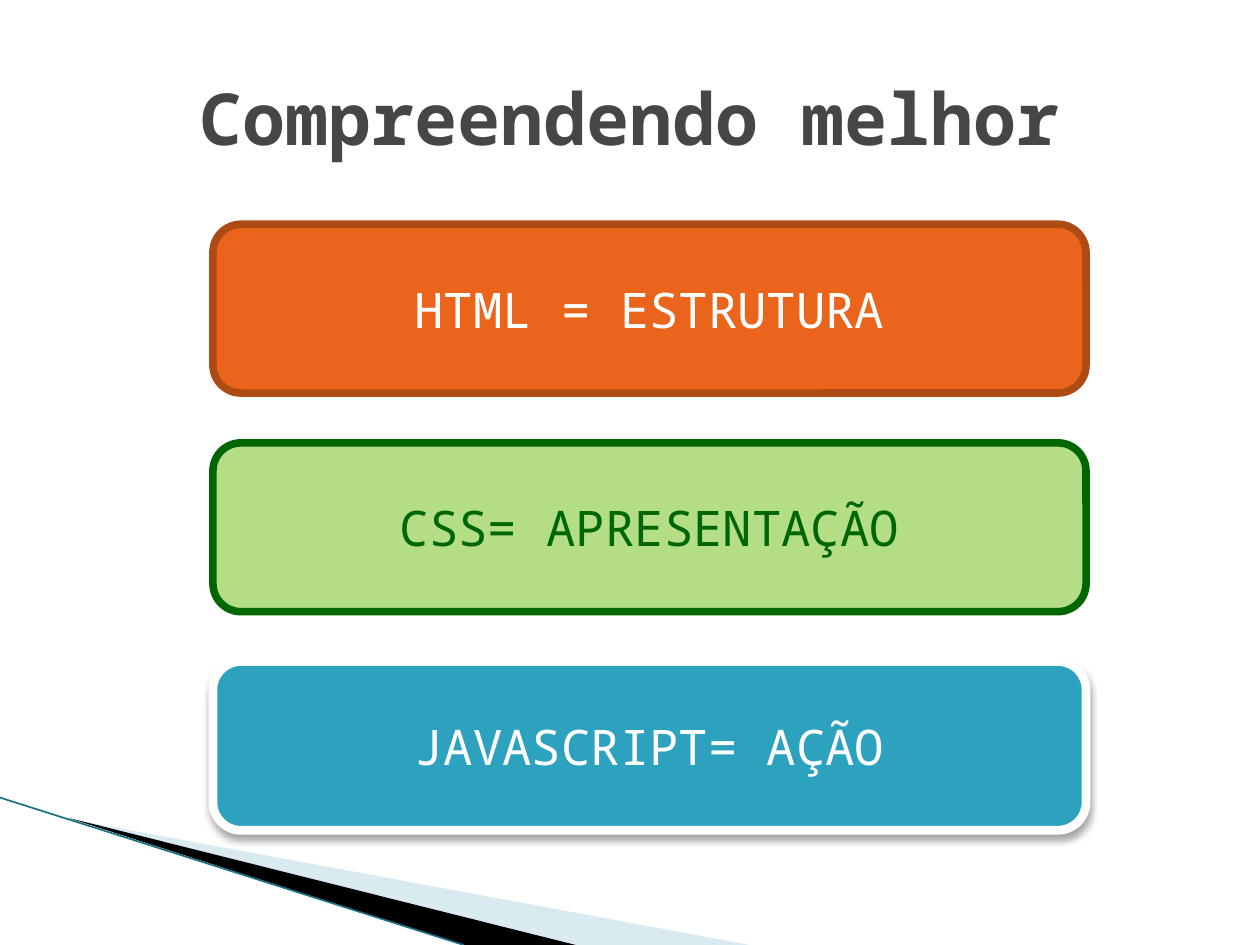
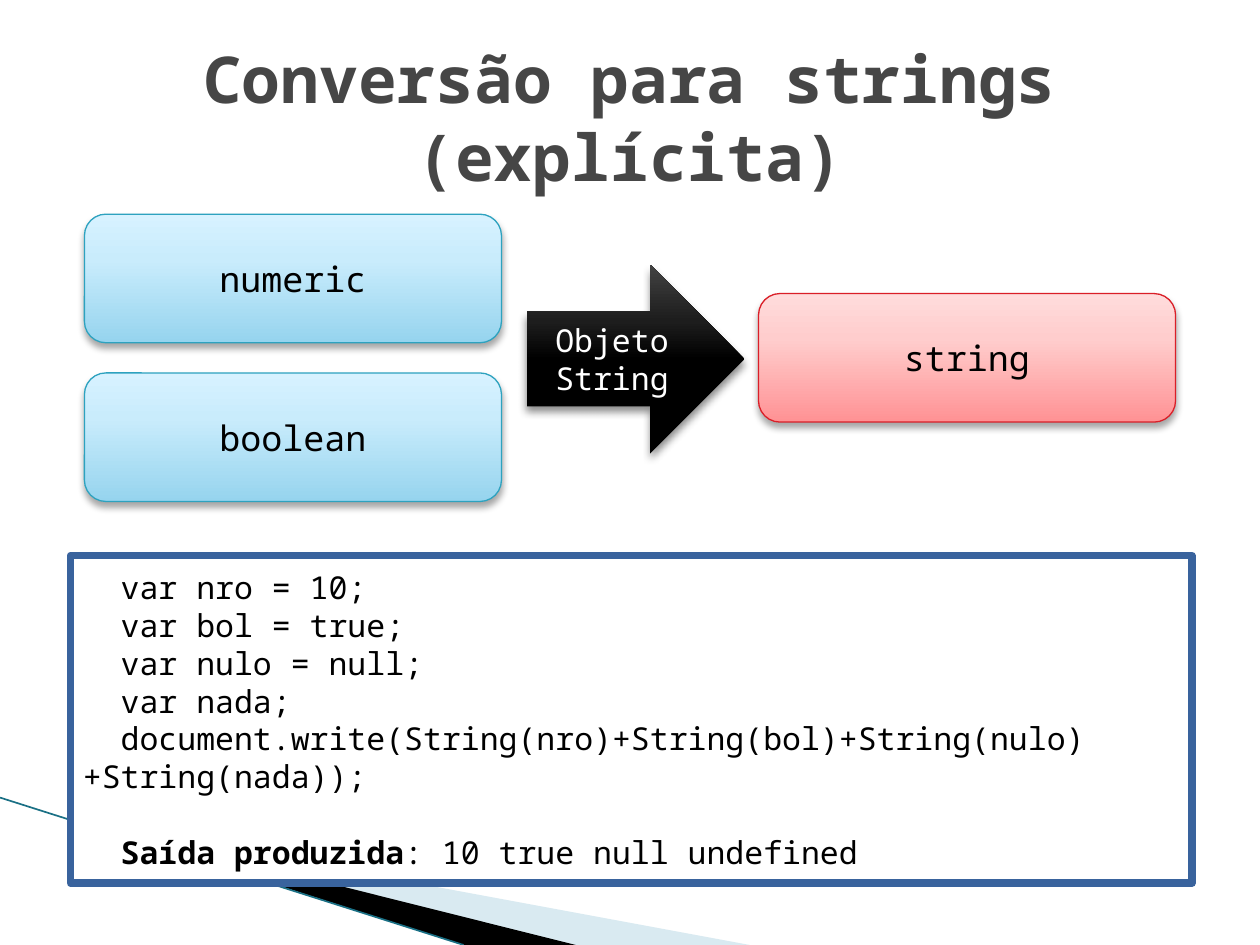
from dataclasses import dataclass
from lxml import etree
from pptx import Presentation
from pptx.dml.color import RGBColor
from pptx.enum.shapes import MSO_CONNECTOR, MSO_SHAPE
from pptx.enum.text import MSO_ANCHOR, PP_ALIGN
from pptx.oxml.ns import qn
from pptx.util import Inches, Pt

ROUND, ARROW, RECT = MSO_SHAPE.ROUNDED_RECTANGLE, MSO_SHAPE.RIGHT_ARROW, MSO_SHAPE.RECTANGLE
STRAIGHT = MSO_CONNECTOR.STRAIGHT
MIDDLE = MSO_ANCHOR.MIDDLE
CENTER, LEFT = PP_ALIGN.CENTER, PP_ALIGN.LEFT


@dataclass(frozen=True)
class Theme:
    font: str = "Noto Sans Mono"
    title: str = "464646"
    white: str = "FFFFFF"
    black: str = "000000"
    orange: str = "EB641B"
    rust: str = "AE4A14"
    lime: str = "B4DE86"
    green: str = "006600"
    teal: str = "2DA2BF"
    red: str = "DA1F28"
    navy: str = "39639D"
    pale: str = "A0CBDC"
    edge: str = "1A7085"
    blue_grad: tuple = ((0, "96D4EE"), (65, "C9ECFC"), (100, "D7F2FF"))
    red_grad: tuple = ((0, "FF9294"), (65, "FFCDCD"), (100, "FFDCDC"))
    black_grad: tuple = ((0, "000000"), (50, "000000"), (70, "1D1D1D"), (100, "424242"))
    banner_size: float = 28
    box_size: float = 20
    code_size: float = 18
    soft: tuple = (35, 4)
    strong: tuple = (45, 5)


T = Theme()


def rgb(c):
    return RGBColor.from_string(c)


def color_xml(parent, c, alpha=None):
    clr = etree.SubElement(parent, qn("a:srgbClr"), val=c)
    if alpha is not None:
        etree.SubElement(clr, qn("a:alpha"), val=str(alpha * 1000))


class Deck:
    def __init__(self):
        self.prs = Presentation()
        self.prs.slide_width, self.prs.slide_height = Inches(10), Inches(7.5)

    def new_slide(self, title, size):
        self.s = self.prs.slides.add_slide(self.prs.slide_layouts[6])
        self.wedge([(0.55, 6.5), (5.95, 7.5), (4.56, 7.5)], T.pale, 40)
        self.wedge([(0.54, 6.49), (4.57, 7.5), (3.68, 7.5)], T.black)
        self.line((0, 6.33), (3.68, 7.5), T.edge, 0.95)
        box = self.s.shapes.add_textbox(*map(Inches, (0.5, 0.3, 9, 1.25)))
        self.text(box, [title], size, T.title, bold=True)

    def wedge(self, points, color, alpha=None):
        start, *rest = [(Inches(x), Inches(y)) for x, y in points]
        fb = self.s.shapes.build_freeform(*start)
        fb.add_line_segments(rest)
        sp = fb.convert_to_shape()
        sp.shadow.inherit = False
        sp.line.fill.background()
        sp.fill.solid()
        sp.fill.fore_color.rgb = rgb(color)
        if alpha is not None:
            solid = sp._element.spPr.find(qn("a:solidFill"))
            solid.clear()
            color_xml(solid, color, alpha)

    def line(self, start, end, color, width):
        cn = self.s.shapes.add_connector(STRAIGHT, *map(Inches, start + end))
        cn.line.color.rgb = rgb(color)
        cn.line.width = Pt(width)
        etree.SubElement(cn._element.spPr, qn("a:effectLst"))

    def text(self, sp, lines, size, color, align=CENTER, bold=False):
        tf = sp.text_frame
        tf.word_wrap = True
        tf.vertical_anchor = MIDDLE
        for i, line in enumerate(lines):
            p = tf.add_paragraph() if i else tf.paragraphs[0]
            p.alignment = align
            p.font.name, p.font.size, p.font.bold = T.font, Pt(size), bold
            p.font.color.rgb = rgb(color)
            p.add_run().text = line
        return tf

    def shape(self, kind, box, fill, border=None, width=0.75, shadow=None):
        sp = self.s.shapes.add_shape(kind, *map(Inches, box))
        sp.shadow.inherit = False
        if isinstance(fill, tuple):
            self.gradient(sp, fill)
        else:
            sp.fill.solid()
            sp.fill.fore_color.rgb = rgb(fill)
        if border:
            sp.line.color.rgb = rgb(border)
            sp.line.width = Pt(width)
        else:
            sp.line.fill.background()
        if shadow:
            alpha, blur = shadow
            effects = sp._element.spPr.find(qn("a:effectLst"))
            outer = etree.SubElement(effects, qn("a:outerShdw"), blurRad=str(Pt(blur)),
                                     dist=str(Pt(3)), dir="5400000", rotWithShape="0")
            color_xml(outer, T.black, alpha)
        return sp

    def gradient(self, sp, stops):
        sp.fill.gradient()
        grad = sp._element.spPr.find(qn("a:gradFill"))
        for child in list(grad):
            grad.remove(child)
        gs_list = etree.SubElement(grad, qn("a:gsLst"))
        for pos, color in stops:
            color_xml(etree.SubElement(gs_list, qn("a:gs"), pos=str(pos * 1000)), color)
        etree.SubElement(grad, qn("a:lin"), ang="16200000", scaled="0")

    def code(self, box, lines, label, result):
        sp = self.shape(RECT, box, T.white, T.navy, 4.33)
        tf = self.text(sp, lines + [label], T.code_size, T.black, LEFT)
        for p in tf.paragraphs:
            pPr = p._p.get_or_add_pPr()
            pPr.set("marL", "0")
            pPr.set("indent", str(Inches(0.3)))
        p = tf.paragraphs[-1]
        p.space_before = Pt(21.6)
        p.runs[0].font.bold = True
        p.add_run().text = result


deck = Deck()

deck.new_slide("Compreendendo melhor", 41)
banners = [
    ("HTML = ESTRUTURA", T.orange, T.rust, 4.33, T.white, None),
    ("CSS= APRESENTAÇÃO", T.lime, T.green, 4.33, T.green, None),
    ("JAVASCRIPT= AÇÃO", T.teal, T.white, 5, T.white, T.soft),
]
for i, (label, fill, border, width, color, shadow) in enumerate(banners):
    sp = deck.shape(ROUND, (1.69, 1.78 + 1.735 * i, 6.93, 1.34), fill, border, width, shadow)
    deck.text(sp, [label], T.banner_size, color)

deck.new_slide("Conversão para strings (explícita)", 36.9)
types = [
    ("numeric", 0.67, 1.7, T.blue_grad, T.teal),
    ("boolean", 0.67, 2.96, T.blue_grad, T.teal),
    ("string", 6.02, 2.33, T.red_grad, T.red),
]
for label, x, y, fill, border in types:
    sp = deck.shape(ROUND, (x, y, 3.31, 1.02), fill, border, shadow=T.soft)
    deck.text(sp, [label], T.box_size, T.black)
arrow = deck.shape(ARROW, (4.18, 2.1, 1.73, 1.5), T.black_grad, shadow=T.strong)
deck.text(arrow, ["Objeto", "String"], T.code_size, T.white)
deck.code((0.56, 4.41, 8.9, 2.6), [
    "var nro = 10;",
    "var bol = true;",
    "var nulo = null;",
    "var nada;",
    "document.write(String(nro)+String(bol)+String(nulo)+String(nada));",
], "Saída produzida", ": 10 true null undefined")

deck.prs.save("out.pptx")
